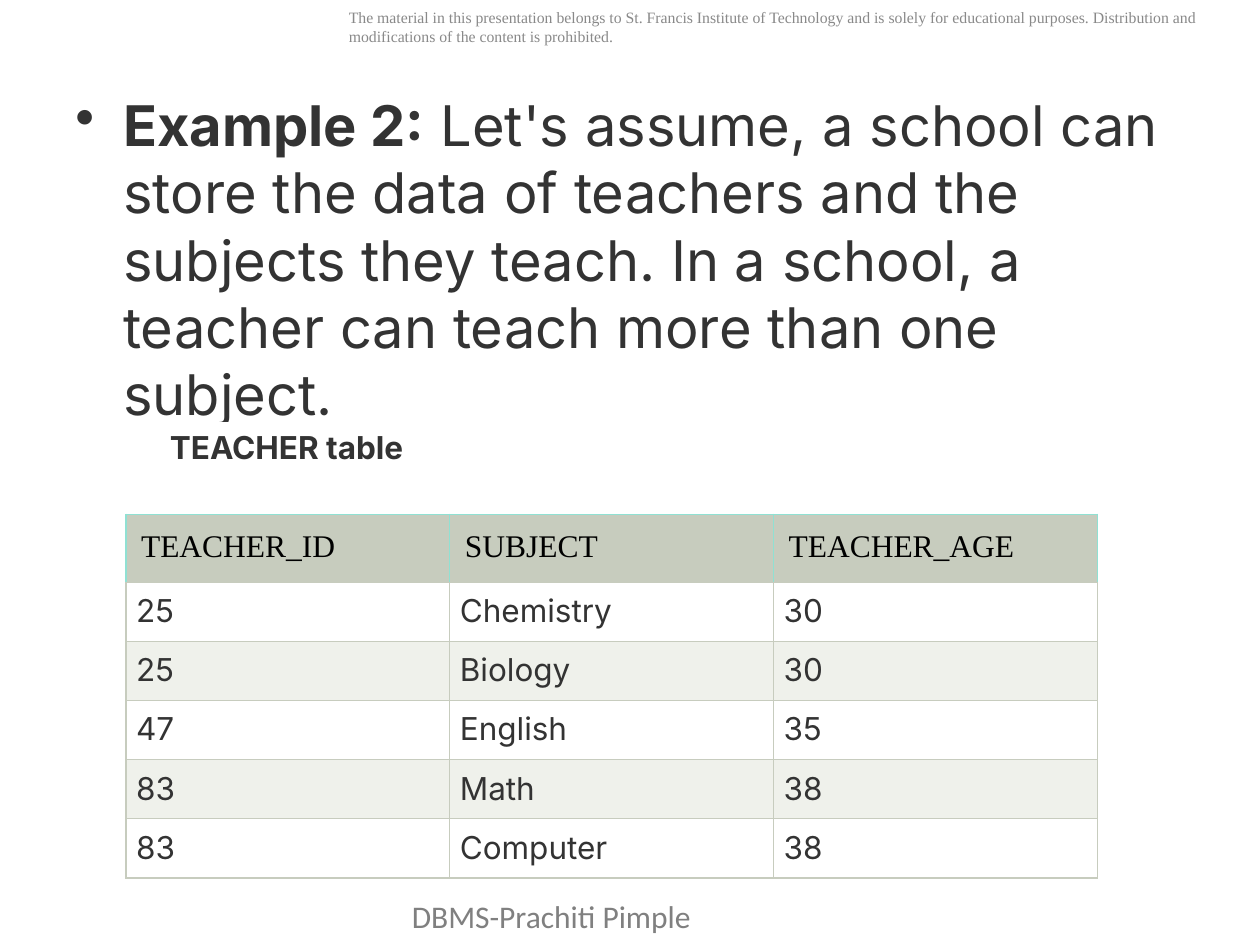
"""Build the slide on a teacher table that a school could store."""
import pptx
import pptx.dml.color
import pptx.enum.shapes
import pptx.enum.text
import pptx.oxml
import pptx.oxml.ns
import pptx.util
from pptx.util import Inches

COLORS = {"ink": "333333", "notice": "898989", "footer": "808080", "black": "000000",
          "white": "FFFFFF", "sage": "C7CCBE", "band": "EFF1EB", "aqua": "90E1D3"}
FORMATS = {
    "notice": {"name": "Times New Roman", "size": 9, "color": "notice"},
    "footer": {"name": "Calibri", "size": 18, "color": "footer"},
    "lead": {"name": "Inter", "size": 32, "color": "ink", "bold": True},
    "body": {"name": "Inter", "size": 32, "color": "ink", "bold": False},
    "caption": {"name": "Inter", "size": 18, "color": "ink", "bold": True},
    "heading": {"name": "Times New Roman", "size": 18, "color": "black"},
    "cell": {"name": "Inter", "size": 18, "color": "ink"},
}
NOTICE = ("The material in this presentation belongs to St. Francis Institute of Technology and is "
          "solely for educational purposes. Distribution and modifications of the content is prohibited.")
FOOTER = "DBMS-Prachiti Pimple"
EXAMPLE = [("Example 2:", "lead"),
           ("\u00a0Let's assume, a school can store the data of teachers and the subjects they teach. "
            "In a school, a teacher can teach more than one subject.", "body")]
CAPTION = "TEACHER table"
TEACHERS = [
    ("TEACHER_ID", "SUBJECT", "TEACHER_AGE"),
    ("25", "Chemistry", "30"),
    ("25", "Biology", "30"),
    ("47", "English", "35"),
    ("83", "Math", "38"),
    ("83", "Computer", "38"),
]
COLUMN_WIDTH, HEADING_HEIGHT, ROW_HEIGHT = 2.57, 0.52, 0.47
JUSTIFY = pptx.enum.text.PP_ALIGN.JUSTIFY


def rgb(color):
    return pptx.dml.color.RGBColor.from_string(COLORS[color])


def fill_with(part, color):
    part.fill.solid()
    part.fill.fore_color.rgb = rgb(color)


def write(paragraph, text, style):
    run = paragraph.add_run()
    run.text = text
    for key, value in FORMATS[style].items():
        if key == "color":
            run.font.color.rgb = rgb(value)
        else:
            setattr(run.font, key, pptx.util.Pt(value) if key == "size" else value)


def add_text(slide, box, runs):
    frame = slide.shapes.add_textbox(*map(Inches, box)).text_frame
    frame.word_wrap = True
    for text, style in runs:
        write(frame.paragraphs[0], text, style)
    return frame.paragraphs[0]


def add_bullet(paragraph):
    properties = paragraph._p.get_or_add_pPr()
    properties.set("marL", str(Inches(0.38)))
    properties.set("indent", str(-Inches(0.38)))
    bullet = pptx.oxml.parse_xml(f'<a:buChar {pptx.oxml.ns.nsdecls("a")} char="•"/>')
    properties.append(bullet)


def add_borders(cell, side_color):
    properties = cell._tc.get_or_add_tcPr()
    sides = {"lnL": side_color, "lnR": side_color, "lnT": side_color, "lnB": "sage"}
    for position, (side, color) in enumerate(sides.items()):
        properties.insert(position, pptx.oxml.parse_xml(
            f'<a:{side} {pptx.oxml.ns.nsdecls("a")} w="{pptx.util.Pt(0.75)}"><a:solidFill>'
            f'<a:srgbClr val="{COLORS[color]}"/></a:solidFill></a:{side}>'))


def add_teacher_table(slide):
    rows, columns = len(TEACHERS), len(TEACHERS[0])
    height = HEADING_HEIGHT + ROW_HEIGHT * (rows - 1)
    box = (1, 4.08, COLUMN_WIDTH * columns, height)
    table = slide.shapes.add_table(rows, columns, *map(Inches, box)).table
    for column in table.columns:
        column.width = Inches(COLUMN_WIDTH)
    for r, teacher in enumerate(TEACHERS):
        heading = r == 0
        table.rows[r].height = Inches(HEADING_HEIGHT if heading else ROW_HEIGHT)
        for c, text in enumerate(teacher):
            cell = table.cell(r, c)
            for side in ("left", "right", "top", "bottom"):
                setattr(cell, f"margin_{side}", Inches(0.12 if heading else 0.08))
            fill_with(cell, "sage" if heading else "white" if r % 2 else "band")
            add_borders(cell, "aqua" if heading else "sage")
            paragraph = cell.text_frame.paragraphs[0]
            if not heading:
                paragraph.alignment = JUSTIFY
            write(paragraph, text, "heading" if heading else "cell")


def add_caption(slide):
    caption = slide.shapes.add_shape(pptx.enum.shapes.MSO_SHAPE.RECTANGLE,
                                     *map(Inches, (1.25, 3.35, 2.08, 0.4)))
    caption.shadow.inherit = False
    caption.line.fill.background()
    fill_with(caption, "white")
    frame = caption.text_frame
    frame.word_wrap = False
    frame.vertical_anchor = pptx.enum.text.MSO_ANCHOR.MIDDLE
    frame.paragraphs[0].alignment = JUSTIFY
    write(frame.paragraphs[0], CAPTION, "caption")


def main():
    deck = pptx.Presentation()
    deck.slide_width, deck.slide_height = Inches(10), Inches(7.5)
    slide = deck.slides.add_slide(deck.slide_layouts[6])
    add_text(slide, (2.67, 0.01, 7.33, 0.71), [(NOTICE, "notice")])
    add_text(slide, (3.17, 7.07, 4.08, 0.4), [(FOOTER, "footer")])
    add_bullet(add_text(slide, (0.5, 0.67, 9, 6.03), EXAMPLE))
    add_teacher_table(slide)
    add_caption(slide)
    deck.save("out.pptx")


if __name__ == "__main__":
    main()
